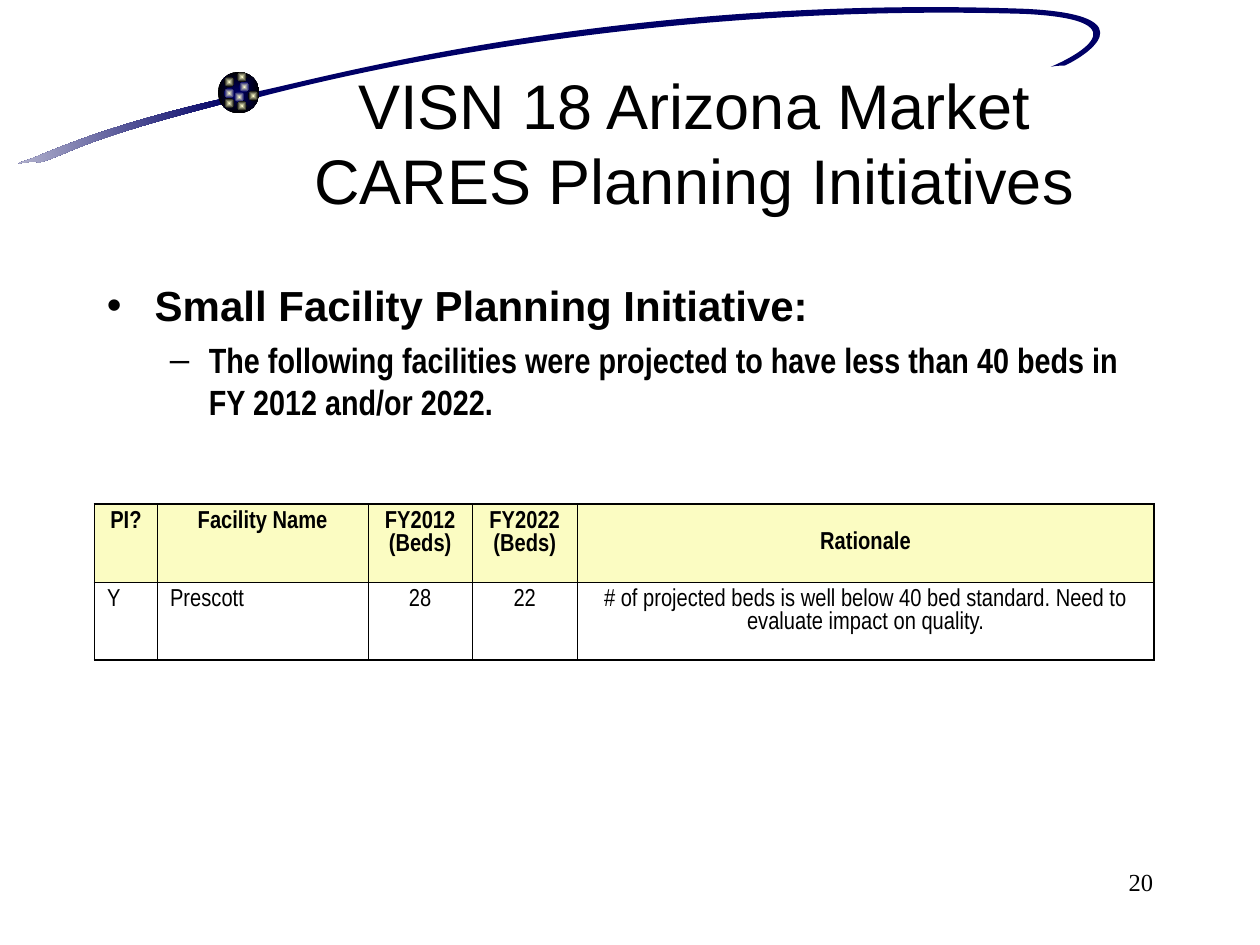
from math import cos, radians, sin

from lxml.etree import SubElement as Sub
from pptx import Presentation
from pptx.dml.color import RGBColor
from pptx.enum.shapes import MSO_SHAPE as Shape
from pptx.enum.text import MSO_ANCHOR as Anchor, MSO_AUTO_SIZE as Fit, PP_ALIGN as Align
from pptx.oxml.ns import qn
from pptx.util import Inches, Pt

NAVY = RGBColor(0x00, 0x00, 0x66)
HAZE = RGBColor(0xC5, 0xC5, 0xD9)
BLACK = RGBColor(0x00, 0x00, 0x00)
CREAM = RGBColor(0xFF, 0xFF, 0xCC)
YELLOW = RGBColor(0xFB, 0xFC, 0xC2)
NARROW = "Arial Narrow"


def write(frame, text, size, font="Arial", bold=False, align=Align.LEFT,
          before=0, bullet=None, left=0, hang=0):
    """Fill the empty first paragraph, or add one; a newline is a line break."""
    para = frame.paragraphs[0]
    if para.runs:
        para = frame.add_paragraph()
    para.alignment = align
    para.space_before = Pt(before)
    if bullet:
        props = para._p.get_or_add_pPr()
        props.set("marL", str(Inches(left)))
        props.set("indent", str(-Inches(hang)))
        Sub(props, qn("a:buFont"), typeface="Arial")
        Sub(props, qn("a:buChar"), char=bullet)
    for i, part in enumerate(text.split("\n")):
        if i:
            para.add_line_break()
        run = para.add_run()
        run.text = part
        run.font.name = font
        run.font.size = Pt(size)
        run.font.bold = bold
        run.font.color.rgb = BLACK


def blend(shape, first, last):
    """Give a shape a two-colour gradient and no line or shadow."""
    shape.shadow.inherit = False
    shape.line.fill.background()
    shape.fill.gradient()
    shape.fill.gradient_angle = 180
    for stop, color, pos in zip(shape.fill.gradient_stops, (first, last), (0, 1)):
        stop.color.rgb = color
        stop.position = pos


prs = Presentation()
prs.slide_width, prs.slide_height = Inches(10), Inches(7.5)
slide = prs.slides.add_slide(prs.slide_layouts[5])
shapes = slide.shapes

# Comet trail: each curve is a start point and Bezier segments, in slide inches
TILT = 351.5
tail = [(1.78, 0.78),
        (0.91, 0.98, 0.49, 1.16, 0.25, 1.26),
        (0.01, 1.34, 0.26, 1.26, 0.31, 1.29),
        (0.57, 1.22, 0.57, 1.13, 1.79, 0.82),
        (1.79, 0.82, 1.78, 0.78, 1.78, 0.78)]
orbit = [(2.02, 0.73),
         (2.46, 0.65, 4.86, -0.05, 8.14, 0.07),
         (9.17, 0.12, 8.57, 0.47, 8.45, 0.52),
         (8.45, 0.52, 8.38, 0.52, 8.34, 0.53),
         (8.44, 0.49, 9.16, 0.16, 8.13, 0.11),
         (5.48, 0.03, 3.2, 0.47, 2.06, 0.77),
         (2.06, 0.77, 2.02, 0.73, 2.02, 0.73)]
turn_x, turn_y = cos(radians(TILT)), sin(radians(TILT))
for curve, box, end in ((tail, (-0.03, 0.91, 1.84, 0.3), HAZE),
                        (orbit, (2.01, -0.15, 7.16, 1.09), NAVY)):
    x, y, w, h = box
    pen = shapes.build_freeform()
    pen.add_line_segments([(Inches(w), 0), (Inches(w), Inches(h))])
    trail = pen.convert_to_shape()
    trail.left, trail.top, trail.width, trail.height = map(Inches, box)
    trail.rotation = TILT
    route = trail._element.spPr.find(".//" + qn("a:path"))
    route.clear()
    route.set("w", str(Inches(w)))
    route.set("h", str(Inches(h)))
    for i, part in enumerate(curve):
        step = Sub(route, qn("a:cubicBezTo" if i else "a:moveTo"))
        for px, py in zip(part[::2], part[1::2]):
            # turn the point back about the box centre
            dx, dy = px - x - w / 2, py - y - h / 2
            Sub(step, qn("a:pt"),
                x=str(Inches(w / 2 + dx * turn_x + dy * turn_y)),
                y=str(Inches(h / 2 - dx * turn_y + dy * turn_x)))
    Sub(route, qn("a:close"))
    blend(trail, NAVY, end)
    if end == NAVY:
        trail.fill.solid()
        trail.fill.fore_color.rgb = NAVY

# Globe and its lights
globe = [(1.73, 0.57, 0.33, NAVY, BLACK)]
lights = [(1.9, 0.65, NAVY), (1.78, 0.61, BLACK), (1.78, 0.7, NAVY),
          (1.86, 0.73, NAVY), (1.97, 0.72, BLACK), (1.88, 0.8, BLACK),
          (1.78, 0.78, BLACK), (1.88, 0.57, BLACK)]
globe += [(x, y, 0.08, CREAM, rim) for x, y, rim in lights]
for x, y, size, core, rim in globe:
    ball = shapes.add_shape(Shape.OVAL, Inches(x), Inches(y), Inches(size), Inches(size))
    blend(ball, core, rim)
    grad = ball._element.spPr.find(qn("a:gradFill"))
    grad.remove(grad.find(qn("a:lin")))
    glow = Sub(grad, qn("a:path"), path="rect")
    Sub(glow, qn("a:fillToRect"), l="50000", t="50000", r="50000", b="50000")

title = shapes.title
title.left, title.top = Inches(1.26), Inches(0.5)
title.width, title.height = Inches(8.5), Inches(1.25)
title.text_frame.auto_size = Fit.NONE
title.text_frame.vertical_anchor = Anchor.MIDDLE
write(title.text_frame, "VISN 18 Arizona Market\nCARES Planning Initiatives", 36,
      align=Align.CENTER)

body = shapes.add_textbox(Inches(0.75), Inches(2.17), Inches(8.5), Inches(4.5)).text_frame
body.word_wrap = True
write(body, "Small Facility Planning Initiative:", 24, bold=True,
      bullet="•", left=0.38, hang=0.38)
write(body, "The following facilities were projected to have less than 40 beds in "
      "FY 2012 and/or 2022.", 20, NARROW, bold=True, before=5,
      bullet="–", left=0.81, hang=0.31)

rows = [["PI?", "Facility Name", "FY2012 (Beds)", "FY2022 (Beds)", "Rationale"],
        ["Y", "Prescott", "28", "22",
         "# of projected beds is well below 40 bed standard. "
         "Need to evaluate impact on quality."]]
widths = [0.5, 1.67, 0.83, 0.83, 4.58]
table = shapes.add_table(2, 5, Inches(0.75), Inches(4), Inches(sum(widths)),
                         Inches(1.24)).table
table.first_row = table.horz_banding = False
for col, width in zip(table.columns, widths):
    col.width = Inches(width)
for r, row in enumerate(rows):
    for c, text in enumerate(row):
        cell = table.cell(r, c)
        head = r == 0
        outer = {"lnL": c == 0, "lnR": c == 4, "lnT": head, "lnB": r == 1}
        props = cell._tc.get_or_add_tcPr()
        for side, edge in outer.items():
            rule = Sub(props, qn("a:" + side), w=str(Pt(1.08 if edge else 0.45)))
            Sub(Sub(rule, qn("a:solidFill")), qn("a:srgbClr"), val=str(BLACK))
        if head:
            cell.fill.solid()
            cell.fill.fore_color.rgb = YELLOW
        else:
            cell.fill.background()
        cell.vertical_anchor = Anchor.MIDDLE if text == "Rationale" else Anchor.TOP
        write(cell.text_frame, text, 14, NARROW, bold=head,
              align=Align.CENTER if head or c > 1 else Align.LEFT)

number = shapes.add_textbox(Inches(7.17), Inches(6.83), Inches(2.08), Inches(0.5)).text_frame
number.word_wrap = True
write(number, "20", 14, "Times New Roman", align=Align.RIGHT)

prs.save("out.pptx")
